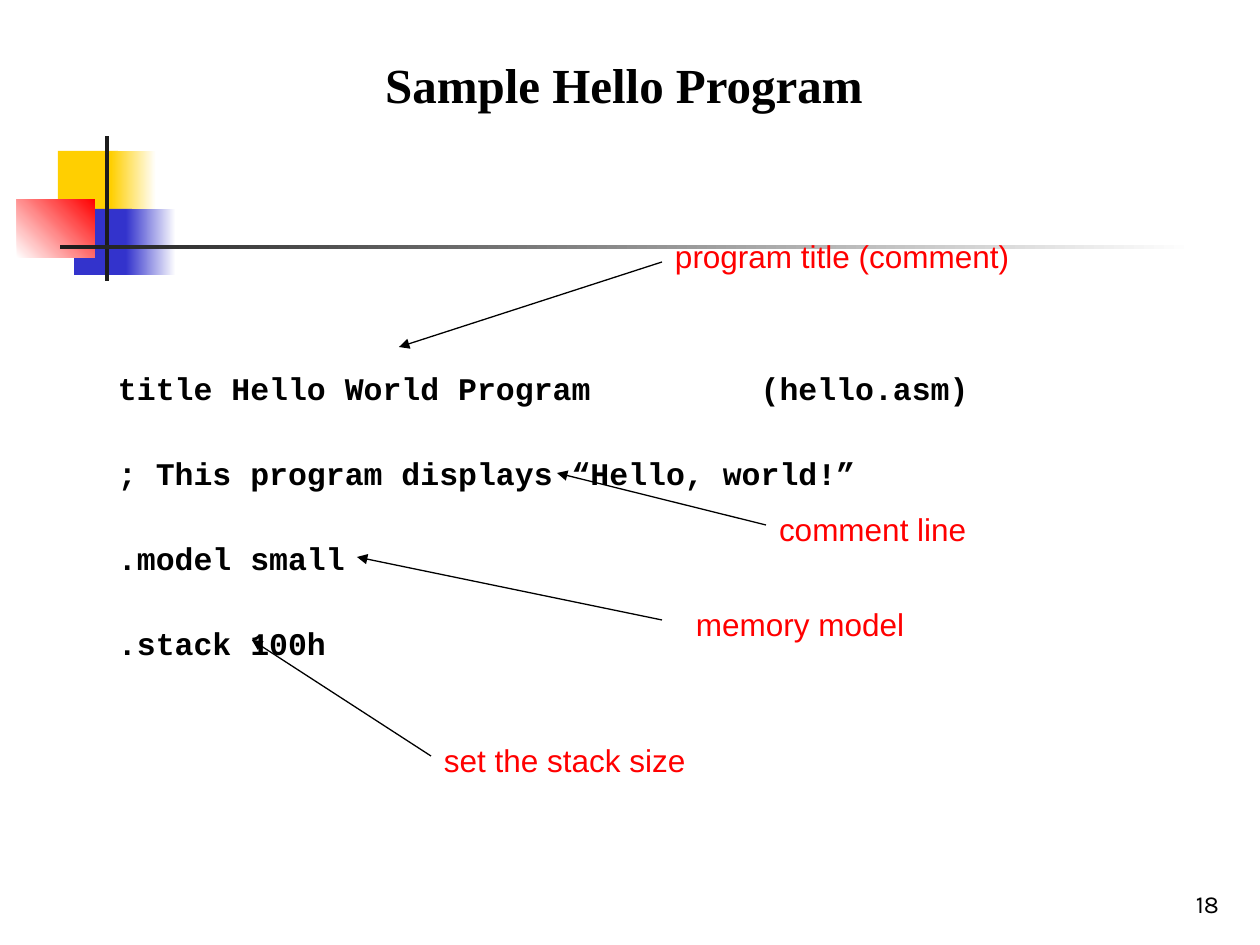
from pptx import Presentation
from pptx.dml.color import RGBColor
from pptx.enum.shapes import MSO_CONNECTOR as Connector, MSO_SHAPE as Shape
from pptx.enum.text import MSO_ANCHOR as Anchor, PP_ALIGN as Align
from pptx.oxml.ns import qn
from pptx.util import Pt
from lxml.etree import SubElement

EMU_PER_PX = 914400 / 126
BLACK, WHITE, RED = "000000", "FFFFFF", "FF0000"
YELLOW, BLUE, DARK = "FFCF01", "3333CC", "1C1C1C"

TITLE = "Sample Hello Program"
PAGE_NUMBER = "18"
CODE = [
    "title Hello World Program         (hello.asm)",
    "; This program displays “Hello, world!”",
    ".model small",
    ".stack 100h",
]
# left, top, width, height, start colour, end colour (None = solid), angle
DECORATION = [
    (58, 151, 60, 66, YELLOW, None, 0),
    (111, 151, 45, 66, YELLOW, WHITE, 0),
    (74, 209, 58, 66, BLUE, None, 0),
    (126, 209, 50, 66, BLUE, WHITE, 0),
    (17, 199, 78, 59, WHITE, RED, 45),
    (105, 136, 4, 145, DARK, None, 0),
    (60, 245, 1134, 4, DARK, WHITE, 0),
]
# text, left, top, width, arrow start, arrow end
CALLOUTS = [
    ("program title (comment)", 662, 231, 420, (662, 262), (399, 347)),
    ("comment line", 766, 504, 284, (766, 525), (557, 473)),
    ("memory model", 683, 599, 284, (662, 620), (357, 557)),
    ("set the stack size", 431, 735, 284, (431, 756), (252, 640)),
]


def px(*lengths):
    return [round(length * EMU_PER_PX) for length in lengths]


def rgb(value):
    return RGBColor.from_string(value)


def place(shape, *frame):
    shape.left, shape.top, shape.width, shape.height = px(*frame)


def write(box, lines, font, size, color=BLACK, bold=False, align=Align.LEFT,
          anchor=Anchor.TOP, inset_top=6, gap=0):
    frame = box.text_frame
    frame.word_wrap = True
    frame.vertical_anchor = anchor
    frame.margin_left, frame.margin_right = px(13, 13)
    frame.margin_top, frame.margin_bottom = px(inset_top, 6)
    frame.text = "\n".join(lines)
    for index, para in enumerate(frame.paragraphs):
        para.alignment = align
        para.space_before = Pt(gap if index else 0)
        for span in para.runs:
            span.font.name, span.font.size = font, Pt(size)
            span.font.bold = bold
            span.font.color.rgb = rgb(color)


def add_block(page, left, top, width, height, start, end, angle):
    block = page.shapes.add_shape(Shape.RECTANGLE, *px(left, top, width, height))
    block.shadow.inherit = False
    block.line.fill.background()
    if end is None:
        block.fill.solid()
        block.fill.fore_color.rgb = rgb(start)
        return
    block.fill.gradient()
    block.fill.gradient_angle = angle
    for stop, color in zip(block.fill.gradient_stops, (start, end)):
        stop.color.rgb = rgb(color)


def add_arrow(page, start, end):
    arrow = page.shapes.add_connector(Connector.STRAIGHT, *px(*start, *end))
    arrow.line.color.rgb = rgb(BLACK)
    arrow.line.width = Pt(0.75)
    properties = arrow.line._get_or_add_ln()
    SubElement(properties, qn("a:tailEnd"), type="triangle")
    SubElement(properties.getparent(), qn("a:effectLst"))


def add_text(page, frame, lines, *style, **options):
    write(page.shapes.add_textbox(*px(*frame)), lines, *style, **options)


def main():
    deck = Presentation()
    deck.slide_width, deck.slide_height = px(1260, 945)
    page = deck.slides.add_slide(deck.slide_layouts[5])

    for block in DECORATION:
        add_block(page, *block)

    title = page.shapes.title
    place(title, 188, 42, 872, 72)
    write(title, [TITLE], "Times New Roman", 28, bold=True,
          align=Align.CENTER, inset_top=12)

    add_text(page, (42, 315, 1018, 340), CODE, "Courier New", 18, bold=True,
             inset_top=54, gap=27)
    code_box = page.shapes[-1]
    code_box.text_frame.margin_left = px(76)[0]

    for text, left, top, width, start, end in CALLOUTS:
        add_arrow(page, start, end)
        add_text(page, (left, top, width, 50), [text], "Arial", 18, RED)

    add_text(page, (970, 861, 262, 63), [PAGE_NUMBER], "Karla", 14,
             align=Align.RIGHT, anchor=Anchor.BOTTOM)
    deck.save("out.pptx")


if __name__ == "__main__":
    main()
